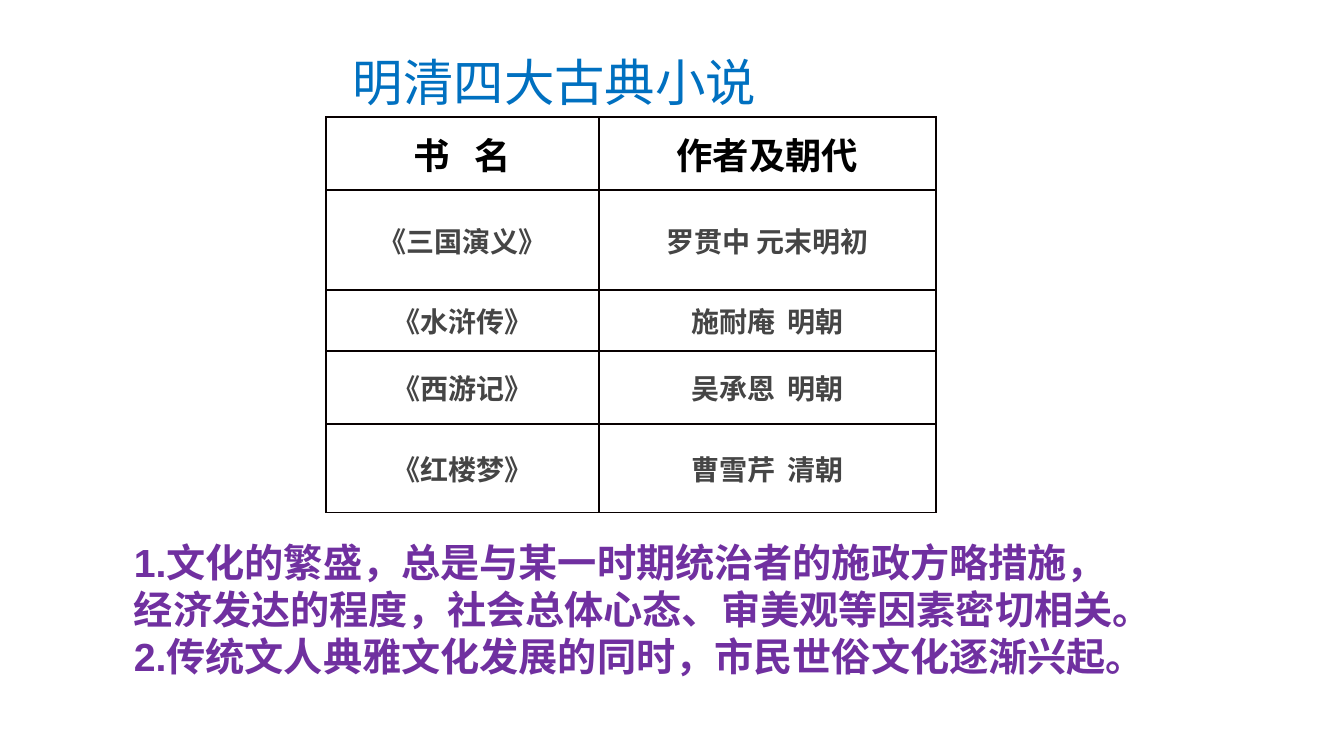
from lxml.etree import SubElement
from pptx import Presentation
from pptx.dml.color import RGBColor
from pptx.enum.text import MSO_ANCHOR as Anchor, PP_ALIGN as Align
from pptx.oxml.ns import qn
from pptx.util import Emu, Pt

COLORS = {"border": "080000", "header": "000000", "body": "454545",
          "title": "0070C0", "notes": "7030A0", "cell": "FFFFFF"}
SANS, LATIN = "Noto Sans CJK SC", "Arial"
COLUMNS = [273, 337]
ROWS = [73, 100, 61, 73, 89]
NOVELS = [
    ("书 名", "作者及朝代"),
    ("《三国演义》", "罗贯中 元末明初"),
    ("《水浒传》", "施耐庵 明朝"),
    ("《西游记》", "吴承恩 明朝"),
    ("《红楼梦》", "曹雪芹 清朝"),
]
WIDE_GAPS = {"书 名": 1160, "施耐庵 明朝": 450, "吴承恩 明朝": 450, "曹雪芹 清朝": 450}
NOTES = [
    "1.文化的繁盛，总是与某一时期统治者的施政方略措施，经济发达的程度，社会总体心态、审美观等因素密切相关。",
    "2.传统文人典雅文化发展的同时，市民世俗文化逐渐兴起。",
]


def px(length):
    return Emu(round(length * 914400 / 100.8))


class SlideBuilder:
    """Draws styled text and tables on one slide."""

    def __init__(self, presentation):
        self.slide = presentation.slides.add_slide(presentation.slide_layouts[6])

    def style(self, run, size, color, font, bold):
        run.font.size = Pt(size)
        run.font.bold = bold
        run.font.name = font
        run.font.color.rgb = RGBColor.from_string(COLORS[color])
        if font == SANS:
            SubElement(run.font._element, qn("a:ea"), typeface=font)

    def text(self, left, top, width, height, lines, size, color, font, bold=False):
        frame = self.slide.shapes.add_textbox(px(left), px(top), px(width), px(height)).text_frame
        frame.word_wrap = True
        frame.text = "\n".join(lines)
        for paragraph in frame.paragraphs:
            for run in paragraph.runs:
                self.style(run, size, color, font, bold)

    def border(self, cell):
        properties = cell._tc.get_or_add_tcPr()
        for position, side in enumerate(("a:lnL", "a:lnR", "a:lnT", "a:lnB")):
            line = properties.makeelement(qn(side), {"w": str(Pt(1))})
            fill = SubElement(line, qn("a:solidFill"))
            SubElement(fill, qn("a:srgbClr"), val=COLORS["border"])
            properties.insert(position, line)

    def cell(self, cell, text, size, color):
        cell.fill.solid()
        cell.fill.fore_color.rgb = RGBColor.from_string(COLORS["cell"])
        cell.vertical_anchor = Anchor.MIDDLE
        cell.margin_left = cell.margin_right = px(7)
        cell.margin_top = cell.margin_bottom = 0
        paragraph = cell.text_frame.paragraphs[0]
        paragraph.alignment = Align.CENTER
        before, gap, after = text.partition(" ")
        for part in filter(None, (before, gap, after)):
            run = paragraph.add_run()
            run.text = part
            self.style(run, size, color, SANS, True)
            if part == gap and text in WIDE_GAPS:
                run.font._element.set("spc", str(WIDE_GAPS[text]))
        self.border(cell)

    def table(self, left, top, columns, rows, values):
        table = self.slide.shapes.add_table(len(rows), len(columns), px(left), px(top),
                                            px(sum(columns)), px(sum(rows))).table
        for column, width in zip(table.columns, columns):
            column.width = px(width)
        for index, (row, height) in enumerate(zip(table.rows, rows)):
            row.height = px(height)
            size, color = (20, "body") if index else (26, "header")
            for cell, text in zip(row.cells, values[index]):
                self.cell(cell, text, size, color)


def main():
    presentation = Presentation()
    presentation.slide_width, presentation.slide_height = px(1344), px(756)
    builder = SlideBuilder(presentation)
    builder.table(326, 117, COLUMNS, ROWS, NOVELS)
    builder.text(343, 46, 442, 72, ["明清四大古典小说"], 36, "title", SANS)
    builder.text(124, 533, 1018, 152, NOTES, 28, "notes", LATIN, True)
    presentation.save("out.pptx")


if __name__ == "__main__":
    main()
